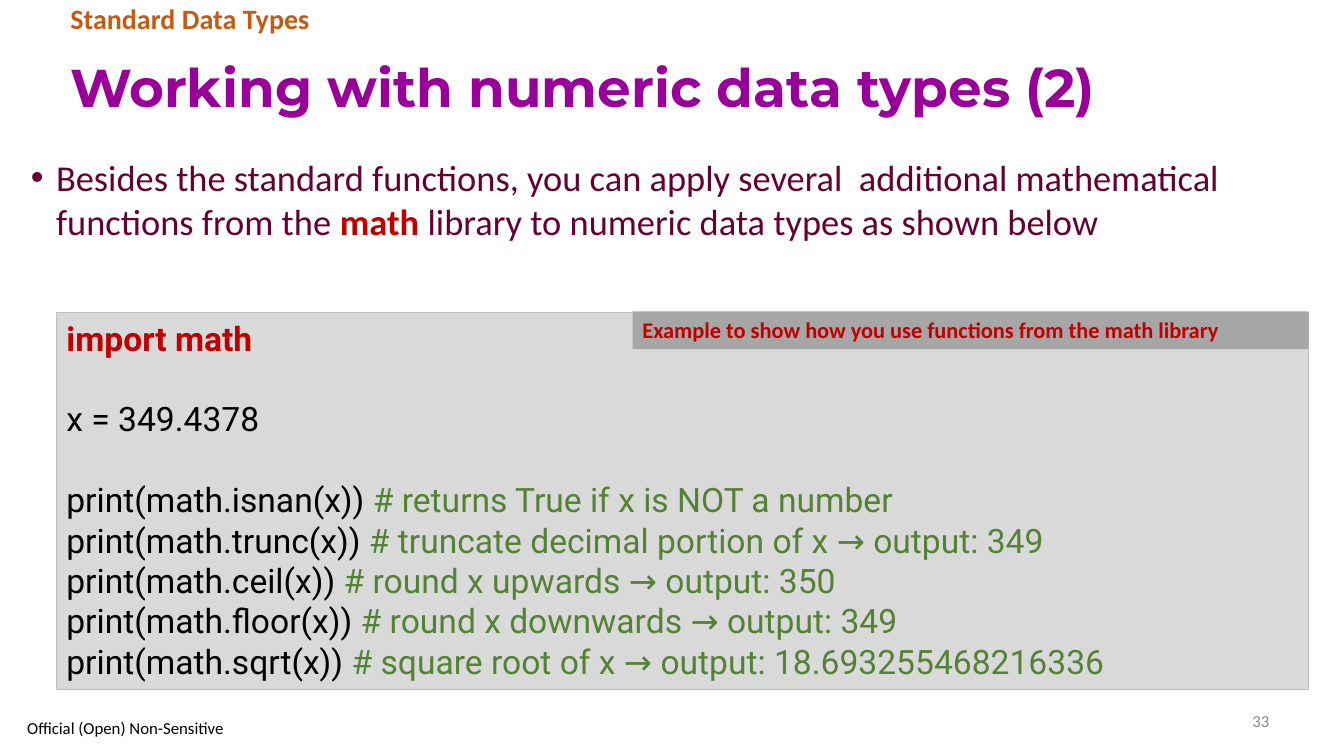
import dataclasses

import pptx
import pptx.dml.color
import pptx.enum.shapes
import pptx.enum.text
import pptx.oxml
import pptx.oxml.ns
import pptx.util

ALIGN = pptx.enum.text.PP_ALIGN
ANCHOR = pptx.enum.text.MSO_ANCHOR
COLUMNS, ROWS = 64, 36
WIDTH, HEIGHT = pptx.util.Inches(13.33), pptx.util.Inches(7.5)


@dataclasses.dataclass(frozen=True)
class Theme:
    """Colours and type styles of the slide."""
    panel: str = "D9D9D9"
    border: str = "BFBFBF"
    label: str = "A6A6A6"
    title: tuple = ("Montserrat", 38, "990099", True)
    section: tuple = ("Calibri", 20, "C55A11", True)
    body: tuple = ("Calibri", 26, "660033", False)
    strong: tuple = ("Calibri", 26, "C00000", True)
    keyword: tuple = ("Roboto", 24, "C00000", True)
    code: tuple = ("Roboto", 24, "000000", False)
    comment: tuple = ("Roboto", 24, "548235", False)
    caption: tuple = ("Calibri", 16, "C00000", True)
    footer: tuple = ("Calibri", 12, "000000", False)
    number: tuple = ("Calibri", 12, "8C8C8C", False)


THEME = Theme()
CALLS = [
    ("isnan", "returns True if x is NOT a number"),
    ("trunc", "truncate decimal portion of x → output: 349"),
    ("ceil", "round x upwards → output: 350"),
    ("floor", "round x downwards → output: 349"),
    ("sqrt", "square root of x → output: 18.693255468216336"),
]


def color(value):
    """Turn a hexadecimal value into a colour."""
    return pptx.dml.color.RGBColor.from_string(value)


def place(box):
    """Turn grid columns and rows into slide lengths."""
    left, top, width, height = box
    return (round(left * WIDTH / COLUMNS), round(top * HEIGHT / ROWS),
            round(width * WIDTH / COLUMNS), round(height * HEIGHT / ROWS))


def write(shape, paragraphs, anchor=ANCHOR.TOP, **formats):
    """Fill a shape with paragraphs of (text, style) runs."""
    frame = shape.text_frame
    frame.word_wrap = True
    frame.vertical_anchor = anchor
    for index, runs in enumerate(paragraphs):
        paragraph = frame.add_paragraph() if index else frame.paragraphs[0]
        for name, value in {"alignment": ALIGN.LEFT, **formats}.items():
            setattr(paragraph, name, value)
        for text, (family, size, tint, bold) in runs:
            run = paragraph.add_run()
            run.text = text
            values = {"name": family, "size": pptx.util.Pt(size), "bold": bold}
            for name, value in values.items():
                setattr(run.font, name, value)
            run.font.color.rgb = color(tint)
    return frame


def add_text(slide, box, runs, **formats):
    """Add a one-paragraph text box."""
    return write(slide.shapes.add_textbox(*place(box)), [runs], **formats)


def add_panel(slide, box, fill, border=None):
    """Add a flat rectangle."""
    shape = slide.shapes.add_shape(
        pptx.enum.shapes.MSO_SHAPE.RECTANGLE, *place(box))
    shape.shadow.inherit = False
    shape.fill.solid()
    shape.fill.fore_color.rgb = color(fill)
    if border:
        shape.line.color.rgb = color(border)
        shape.line.width = pptx.util.Pt(0.75)
    else:
        shape.line.fill.background()
    return shape


def add_heading(slide, box):
    """Add the section name above the slide title."""
    left, top, width, height = box
    section = height * 0.3
    add_text(slide, (left, top, width, section),
             [("Standard Data Types", THEME.section)], line_spacing=0.9)
    add_text(slide, (left, top + section, width, height - section),
             [("Working with numeric data types (2)", THEME.title)],
             anchor=ANCHOR.MIDDLE, line_spacing=0.9)


def add_introduction(slide, box):
    """Add the bulleted introduction."""
    frame = add_text(slide, box, [
        ("Besides the standard functions, you can apply several  additional "
         "mathematical functions from the ", THEME.body),
        ("math", THEME.strong),
        (" library to numeric data types as shown below", THEME.body)])
    properties = frame.paragraphs[0]._p.get_or_add_pPr()
    indent = pptx.util.Inches(0.25)
    for name, value in {"marL": indent, "indent": -indent}.items():
        properties.set(name, str(value))
    for tag, name, value in (("buFont", "typeface", "Arial"),
                             ("buChar", "char", "•")):
        bullet = pptx.oxml.parse_xml(
            f'<a:{tag} {pptx.oxml.ns.nsdecls("a")} {name}="{value}"/>')
        properties.append(bullet)


def add_example(slide, box):
    """Add the code panel with its caption in the top right corner."""
    left, top, width, height = box
    lines = [[("import math", THEME.keyword)],
             [("x = 349.4378", THEME.code)]]
    lines += [[(f"print(math.{name}(x)) ", THEME.code),
               (f"# {note}", THEME.comment)] for name, note in CALLS]
    panel = add_panel(slide, box, THEME.panel, THEME.border)
    frame = write(panel, lines)
    for paragraph in frame.paragraphs[1:3]:
        paragraph.space_before = pptx.util.Pt(29)
    share = 0.54
    caption = add_panel(
        slide, (left + width * (1 - share), top - 0.05, width * share,
                height * 0.1), THEME.label)
    write(caption, [[("Example to show how you use functions from the math "
                      "library", THEME.caption)]])


def add_footer(slide, box):
    """Add the classification and the page number."""
    left, top, width, height = box
    add_text(slide, (left, top + height * 0.35, width * 0.18, height * 0.65),
             [("Official (Open) Non-Sensitive", THEME.footer)],
             anchor=ANCHOR.MIDDLE)
    add_text(slide, (left + width * 0.74, top, width * 0.26, height),
             [("33", THEME.number)], anchor=ANCHOR.MIDDLE,
             alignment=ALIGN.RIGHT)


def main():
    """Build the slide and save it."""
    presentation = pptx.Presentation()
    presentation.slide_width, presentation.slide_height = WIDTH, HEIGHT
    slide = presentation.slides.add_slide(presentation.slide_layouts[6])
    add_heading(slide, (2.88, 0, 58.05, 6.62))
    add_introduction(slide, (1, 7.15, 63, 3.8))
    add_example(slide, (2.69, 14.88, 59.63, 17.95))
    add_footer(slide, (0.82, 33.36, 60.1, 1.92))
    presentation.save("out.pptx")


if __name__ == "__main__":
    main()
